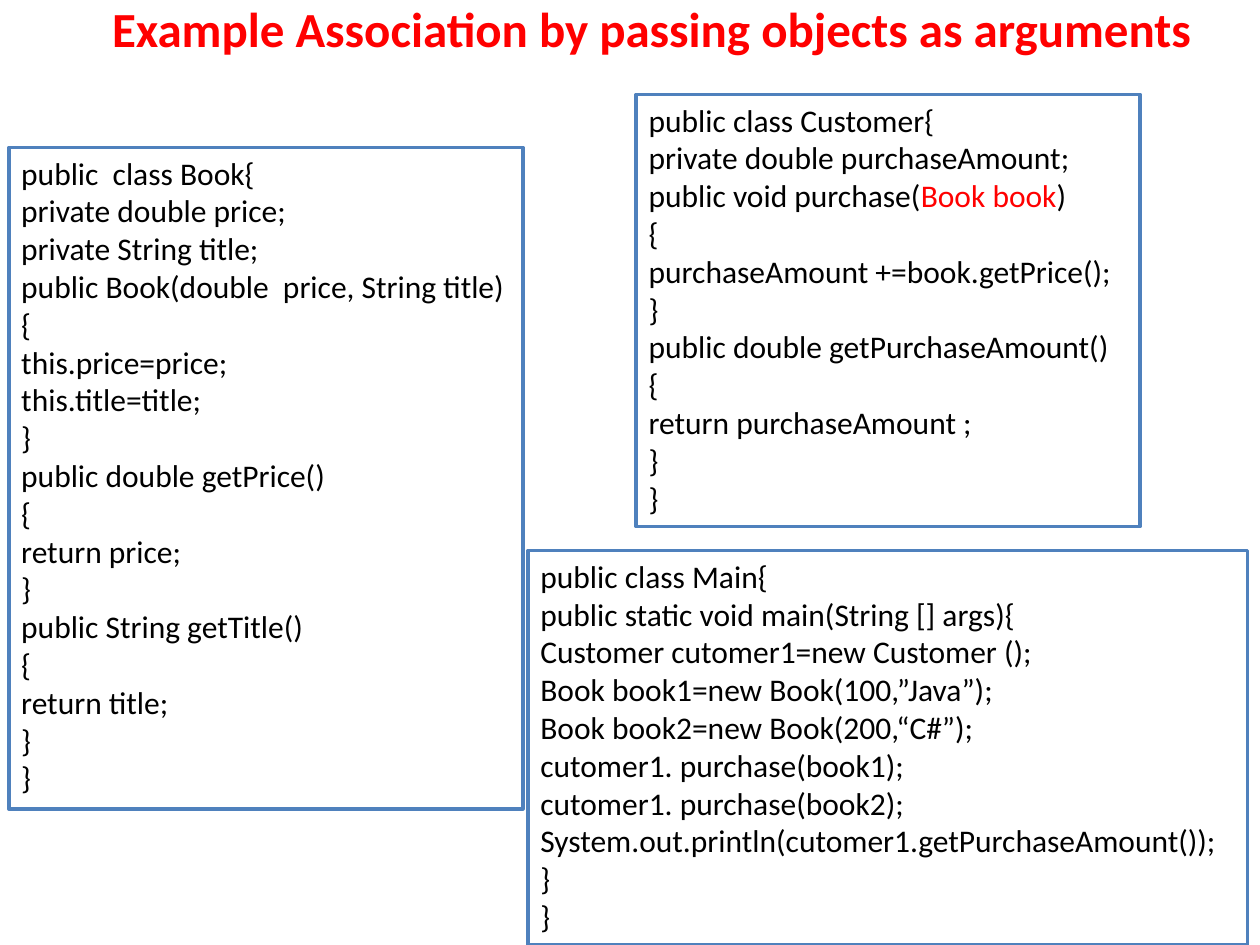
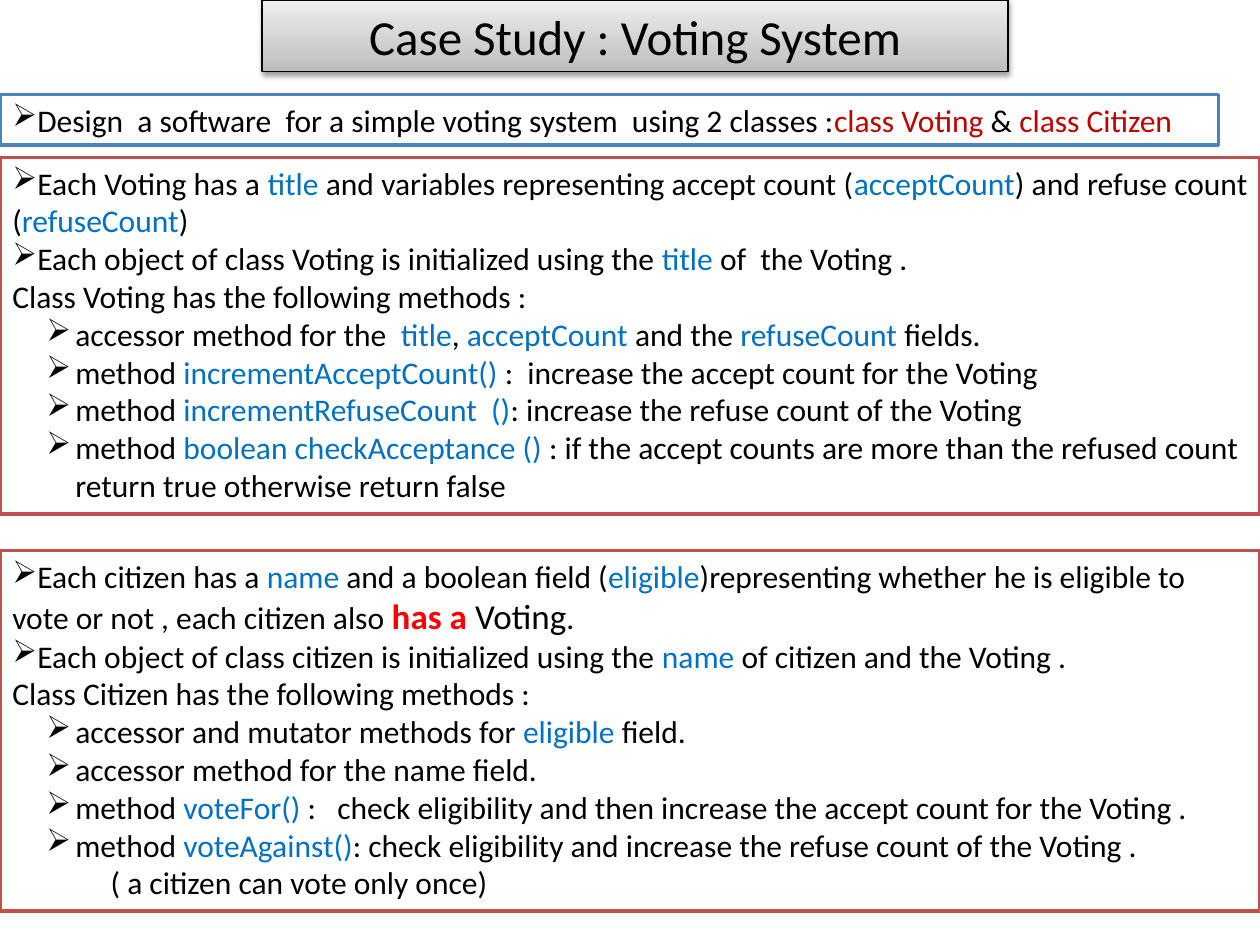
"""Build two slides on class association: a code example and a voting case study."""
from dataclasses import dataclass
from typing import NamedTuple

from pptx import Presentation
from pptx import util as u
from pptx.dml.color import RGBColor
from pptx.enum import shapes, text
from pptx.oxml import parse_xml
from pptx.oxml.ns import nsdecls

BLACK = RGBColor(0x00, 0x00, 0x00)
WHITE = RGBColor(0xFF, 0xFF, 0xFF)
RED = RGBColor(0xFF, 0x00, 0x00)
DARK_RED = RGBColor(0xC0, 0x00, 0x00)
KEYWORD_BLUE = RGBColor(0x00, 0x70, 0xC0)
BORDER_BLUE = RGBColor(0x4F, 0x81, 0xBD)
BORDER_RED = RGBColor(0xC0, 0x50, 0x4D)
BANNER_DARK = RGBColor(0xBD, 0xBD, 0xBD)
BANNER_LIGHT = RGBColor(0xEE, 0xEE, 0xEE)

FONT = "Calibri"
BODY_SIZE = 18
TITLE_SIZE = 28
TITLE_ONLY = 5


class Area(NamedTuple):
    left: float
    top: float
    width: float
    height: float


class Span(NamedTuple):
    words: str
    color: RGBColor = BLACK
    size: int = BODY_SIZE
    bold: bool = False


@dataclass(frozen=True)
class Line:
    spans: tuple[Span, ...]
    bullet: bool = False
    margin: float = 0
    indent: float = 0
    align: text.PP_ALIGN = text.PP_ALIGN.LEFT


@dataclass(frozen=True)
class Panel:
    area: Area
    border: RGBColor
    lines: list[Line]


def keyword(words: str) -> Span:
    """Return a span in the keyword colour."""
    return Span(words, KEYWORD_BLUE)


def line(*parts: str | Span, **layout) -> Line:
    """Return a line whose plain strings become black spans."""
    return Line(tuple(p if isinstance(p, Span) else Span(p) for p in parts), **layout)


def point(*parts: str | Span, **layout) -> Line:
    """Return a bulleted line at the left edge."""
    return line(*parts, bullet=True, **layout)


def method(*parts: str | Span) -> Line:
    """Return an indented bulleted line."""
    return point(*parts, margin=0.5, indent=-0.23)


def code(source: str) -> list[Line]:
    """Return one line for each row of program text."""
    return [line(row) for row in source.strip().splitlines()]


def place(box, area: Area) -> None:
    """Move and size a box in inches."""
    for name, value in area._asdict().items():
        setattr(box, name, u.Inches(value))


def add_span(para, span: Span) -> None:
    """Add formatted words to a paragraph."""
    run = para.add_run()
    run.text = span.words
    formats = {"name": FONT, "size": u.Pt(span.size), "bold": span.bold}
    for name, value in formats.items():
        setattr(run.font, name, value)
    run.font.color.rgb = span.color


def write(box, lines: list[Line], anchor=text.MSO_ANCHOR.TOP) -> None:
    """Fill a box with lines of text."""
    frame = box.text_frame
    formats = {"word_wrap": True, "vertical_anchor": anchor,
               "auto_size": text.MSO_AUTO_SIZE.NONE}
    for name, value in formats.items():
        setattr(frame, name, value)
    for index, item in enumerate(lines):
        para = frame.add_paragraph() if index else frame.paragraphs[0]
        para.alignment = item.align
        props = para._p.get_or_add_pPr()
        props.set("marL", str(u.Inches(item.margin)))
        props.set("indent", str(u.Inches(item.indent)))
        if item.bullet:
            props.append(parse_xml(f'<a:buChar {nsdecls("a")} char="➢"/>'))
        for span in item.spans:
            add_span(para, span)


def add_panel(page, panel: Panel) -> None:
    """Draw a bordered white panel of text."""
    lengths = [u.Inches(value) for value in panel.area]
    box = page.shapes.add_shape(shapes.MSO_SHAPE.RECTANGLE, *lengths)
    box.shadow.inherit = False
    box.fill.solid()
    box.fill.fore_color.rgb = WHITE
    box.line.color.rgb = panel.border
    box.line.width = u.Pt(2)
    write(box, panel.lines)


def add_page(deck, title: Span, area: Area, panels: list[Panel]):
    """Add a slide with its title and panels."""
    page = deck.slides.add_slide(deck.slide_layouts[TITLE_ONLY])
    place(page.shapes.title, area)
    write(page.shapes.title, [line(title, align=text.PP_ALIGN.CENTER)],
          text.MSO_ANCHOR.MIDDLE)
    for panel in panels:
        add_panel(page, panel)
    return page


def style_banner(box) -> None:
    """Give a title a grey gradient, a black outline and a soft shadow."""
    box.fill.gradient()
    box.fill.gradient_angle = 90
    for stop, color in zip(box.fill.gradient_stops, (BANNER_DARK, BANNER_LIGHT)):
        stop.color.rgb = color
    box.line.color.rgb = BLACK
    box.line.width = u.Pt(0.75)
    box._element.spPr.append(parse_xml(
        f'<a:effectLst {nsdecls("a")}>'
        f'<a:outerShdw blurRad="{u.Pt(3.1)}" dist="{u.Pt(1.6)}" dir="5400000" rotWithShape="0">'
        '<a:srgbClr val="000000"><a:alpha val="38000"/></a:srgbClr>'
        '</a:outerShdw></a:effectLst>'))


BOOK = code("""
public  class Book{
private double price;
private String title;
public Book(double  price, String title)
{
this.price=price;
this.title=title;
}
public double getPrice()
{
return price;
}
public String getTitle()
{
return title;
}
}
""")

CUSTOMER = [
    *code("public class Customer{\nprivate double purchaseAmount;"),
    line("public void purchase(", Span("Book book", RED), ")"),
    *code("""
{
purchaseAmount +=book.getPrice();
}
public double getPurchaseAmount()
{
return purchaseAmount ;
}
}
"""),
]

MAIN = code("""
public class Main{
public static void main(String [] args){
Customer cutomer1=new Customer ();
Book book1=new Book(100,”Java”);
Book book2=new Book(200,“C#”);
cutomer1. purchase(book1);
cutomer1. purchase(book2);
System.out.println(cutomer1.getPurchaseAmount());
}
}
""")

TASK = [
    point("Design  a software  for a simple voting system  using 2 classes :",
          Span("class Voting", DARK_RED), " & ", Span("class Citizen", DARK_RED)),
]

VOTING = [
    point("Each Voting has a ", keyword("title"),
          " and variables representing accept count (", keyword("acceptCount"),
          ") and refuse count (", keyword("refuseCount"), ")",
          align=text.PP_ALIGN.JUSTIFY),
    point("Each object of class Voting is initialized using the ", keyword("title"),
          " of  the Voting ."),
    line("Class Voting has the following methods :"),
    method("accessor method for the  ", keyword("title"), ", ", keyword("acceptCount "),
           "and the ", keyword("refuseCount "), "fields."),
    method("method ", keyword("incrementAcceptCount()"),
           " :  increase the accept count for the Voting"),
    method("method ", keyword("incrementRefuseCount  ()"),
           ": increase the refuse count of the Voting"),
    method("method ", keyword("boolean checkAcceptance () "),
           ": if the accept counts are more than the refused count "
           "return true otherwise return false"),
]

CITIZEN = [
    point("Each citizen has a ", keyword("name"), " and a boolean field (",
          keyword("eligible"),
          ")representing whether he is eligible to vote or not , each citizen also ",
          Span("has a ", RED, 20, True), Span("Voting", size=20), "."),
    point("Each object of class citizen is initialized using the ", keyword("name"),
          " of citizen and the Voting ."),
    line("Class Citizen has the following methods :"),
    method("accessor and mutator methods for ", keyword("eligible"), " field."),
    method("accessor method for the name field."),
    method("method ", keyword("voteFor()"),
           " :   check eligibility and then increase the accept count for the Voting ."),
    method("method ", keyword("voteAgainst()"),
           ": check eligibility and increase the refuse count of the Voting ."),
    line("( a citizen can vote only once)", margin=0.78),
]


def main() -> None:
    """Build and save the deck."""
    deck = Presentation()
    deck.slide_width, deck.slide_height = u.Inches(10), u.Inches(7.5)
    add_page(
        deck,
        Span("Example Association by passing objects as arguments", RED, TITLE_SIZE, True),
        Area(0.67, 0, 9, 0.45),
        [Panel(Area(0.07, 1.17, 4.08, 5.25), BORDER_BLUE, BOOK),
         Panel(Area(5.05, 0.75, 4, 3.43), BORDER_BLUE, CUSTOMER),
         Panel(Area(4.19, 4.37, 5.71, 3.13), BORDER_BLUE, MAIN)])
    case_study = add_page(
        deck,
        Span("Case Study : Voting System", size=TITLE_SIZE),
        Area(2.08, 0, 5.92, 0.57),
        [Panel(Area(0, 0.75, 9.67, 0.4), BORDER_BLUE, TASK),
         Panel(Area(0, 1.25, 10, 2.83), BORDER_RED, VOTING),
         Panel(Area(0, 4.37, 10, 2.86), BORDER_RED, CITIZEN)])
    style_banner(case_study.shapes.title)
    deck.save("out.pptx")


if __name__ == "__main__":
    main()
